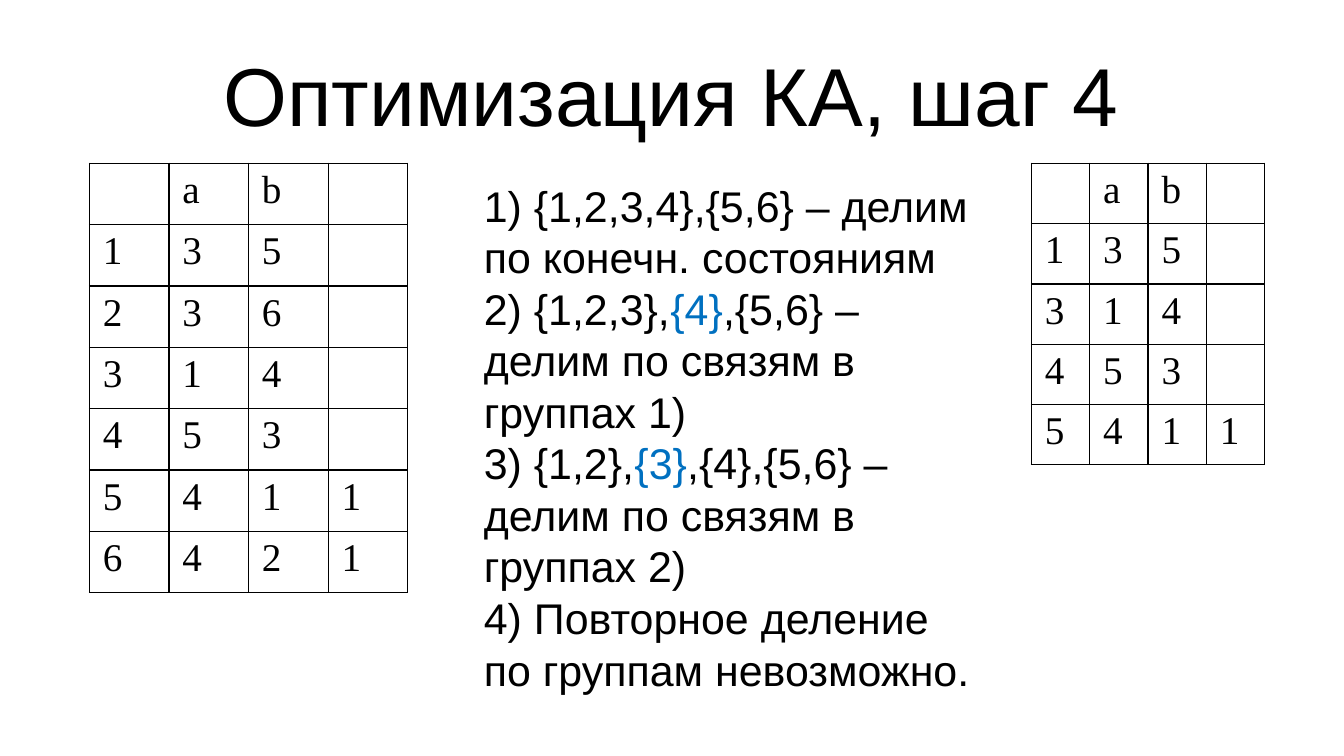
from dataclasses import dataclass

from lxml import etree
from pptx import Presentation
from pptx import util as u
from pptx.dml.color import RGBColor
from pptx.enum import text
from pptx.oxml import ns

BLACK = RGBColor(0x00, 0x00, 0x00)
BLUE = RGBColor(0x00, 0x70, 0xC0)
WIDTH = u.Inches(10)
HEIGHT = WIDTH * 9 // 16


@dataclass(frozen=True)
class Area:
    """A place on the slide, in percent of its width and height."""
    left: float
    top: float
    width: float
    height: float

    def box(self) -> tuple[int, int, int, int]:
        return (int(WIDTH * self.left / 100), int(HEIGHT * self.top / 100),
                int(WIDTH * self.width / 100), int(HEIGHT * self.height / 100))


@dataclass(frozen=True)
class Automaton:
    """A transition table; each row is state, a, b, final mark."""
    area: Area
    rows: tuple[str, ...]


@dataclass(frozen=True)
class Step:
    before: str
    split_group: str = ""
    after: str = ""


TITLE_AREA = Area(5, 4.1, 90, 16.7)
STEPS_AREA = Area(35, 20.1, 39.3, 75.4)
FULL = Automaton(Area(6.65, 21.6, 23.7, 56.8),
                 (" ab ", "135 ", "236 ", "314 ", "453 ", "5411", "6421"))
MINIMAL = Automaton(Area(76.75, 21.6, 17.35, 39.9),
                    (" ab ", "135 ", "314 ", "453 ", "5411"))
STEPS = (
    Step("1) {1,2,3,4},{5,6} – делим по конечн. состояниям"),
    Step("2) {1,2,3},", "{4}", ",{5,6} – делим по связям в группах 1)"),
    Step("3) {1,2},", "{3}", ",{4},{5,6} – делим по связям в группах 2)"),
    Step("4) Повторное деление по группам невозможно."),
)


def style(font, name: str, size: float, color: RGBColor = BLACK) -> None:
    font.name, font.size = name, u.Pt(size)
    font.color.rgb = color


def place(holder, area: Area) -> None:
    holder.left, holder.top, holder.width, holder.height = area.box()
    frame = holder.text_frame
    frame.word_wrap = True
    frame.auto_size = text.MSO_AUTO_SIZE.NONE
    frame.vertical_anchor = text.MSO_ANCHOR.MIDDLE


def add_borders(cell) -> None:
    properties = cell._tc.get_or_add_tcPr()
    for side in ("lnL", "lnR", "lnT", "lnB"):
        line = etree.SubElement(properties, ns.qn(f"a:{side}"), w=str(u.Pt(0.75)))
        fill = etree.SubElement(line, ns.qn("a:solidFill"))
        etree.SubElement(fill, ns.qn("a:srgbClr"), val=str(BLACK))


def add_automaton(slide, automaton: Automaton) -> None:
    rows = automaton.rows
    table = slide.shapes.add_table(len(rows), len(rows[0]),
                                   *automaton.area.box()).table
    table.first_row = table.horz_banding = False
    for row, symbols in enumerate(rows):
        for column, symbol in enumerate(symbols):
            cell = table.cell(row, column)
            add_borders(cell)
            cell.fill.background()
            cell.margin_top = cell.margin_bottom = u.Inches(0.04)
            cell.text_frame.text = symbol.strip()
            entry = cell.text_frame.paragraphs[0]
            entry.alignment = text.PP_ALIGN.JUSTIFY
            for run in entry.runs:
                style(run.font, "Times New Roman", 21)


def write_step(paragraph, step: Step) -> None:
    properties = paragraph._p.get_or_add_pPr()
    properties.set("marL", "0")
    properties.set("indent", "0")
    etree.SubElement(properties, ns.qn("a:buNone"))
    paragraph.space_before = u.Pt(0)
    paragraph.line_spacing = u.Pt(27.6)
    for part, color in ((step.before, BLACK), (step.split_group, BLUE),
                        (step.after, BLACK)):
        if part:
            run = paragraph.add_run()
            run.text = part
            style(run.font, "Arial", 23, color)


def main() -> None:
    deck = Presentation()
    deck.slide_width, deck.slide_height = WIDTH, HEIGHT
    slide = deck.slides.add_slide(deck.slide_layouts.get_by_name("Title and Content"))

    title = slide.shapes.title
    place(title, TITLE_AREA)
    title.text_frame.text = "Оптимизация КА, шаг 4"
    heading = title.text_frame.paragraphs[0]
    heading.alignment = text.PP_ALIGN.CENTER
    style(heading.runs[0].font, "Arial", 44)

    add_automaton(slide, FULL)

    steps = slide.placeholders[1]
    place(steps, STEPS_AREA)
    frame = steps.text_frame
    for number, step in enumerate(STEPS):
        write_step(frame.add_paragraph() if number else frame.paragraphs[0], step)

    add_automaton(slide, MINIMAL)
    deck.save("out.pptx")


if __name__ == "__main__":
    main()
